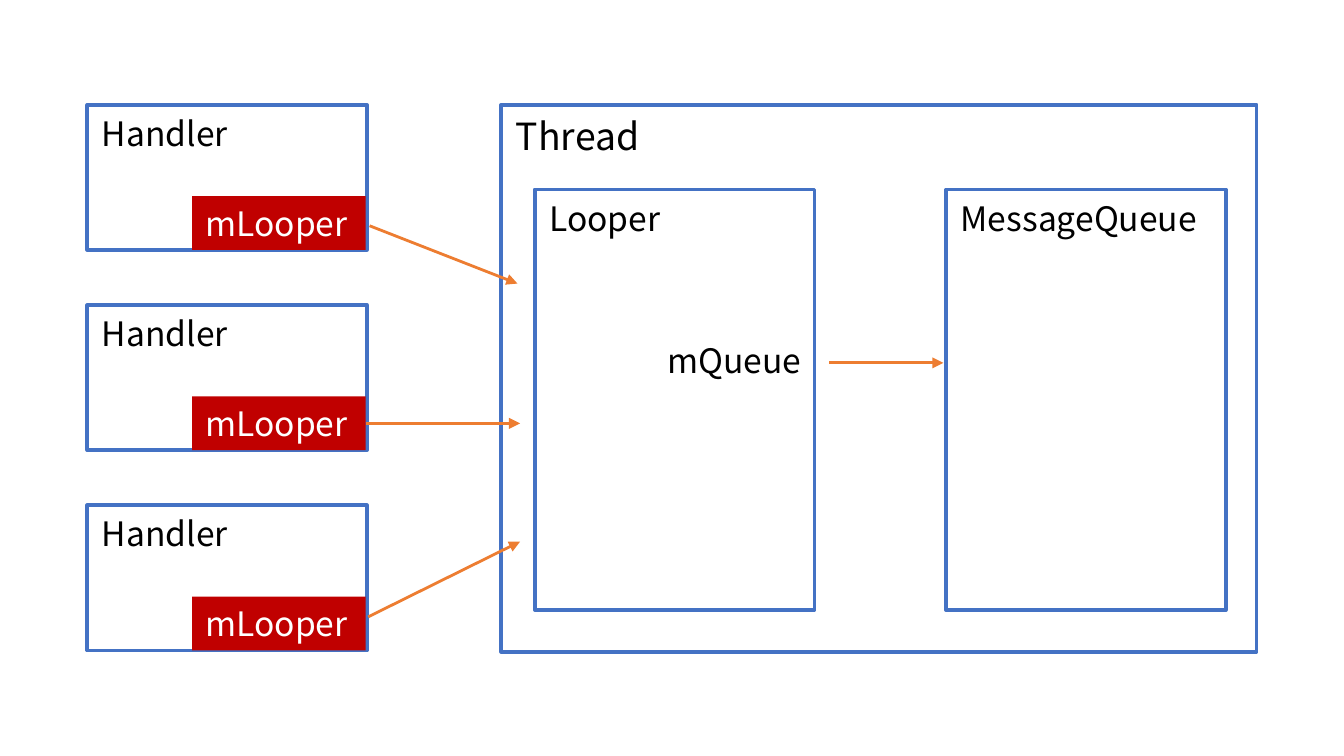
from typing import NamedTuple

from lxml.etree import SubElement
from pptx import Presentation
from pptx.dml.color import RGBColor
from pptx.enum.shapes import MSO_CONNECTOR as Line, MSO_SHAPE as Shape
from pptx.enum.text import MSO_ANCHOR as Anchor, MSO_AUTO_SIZE as Fit, PP_ALIGN as Align
from pptx.oxml.ns import qn
from pptx.util import Inches, Pt

BLUE = RGBColor(0x44, 0x72, 0xC4)
ORANGE = RGBColor(0xED, 0x7D, 0x31)
RED = RGBColor(0xC0, 0x00, 0x00)
BLACK = RGBColor(0x00, 0x00, 0x00)
WHITE = RGBColor(0xFF, 0xFF, 0xFF)
FONT = "Noto Sans CJK SC"


class Box(NamedTuple):
    x: float
    y: float
    w: float
    h: float


class Frame(NamedTuple):
    """An outlined box with its title in the top left corner."""
    title: str
    box: Box
    width: float
    height: float = 0.4
    size: int = 18


class Arrow(NamedTuple):
    x1: float
    y1: float
    x2: float
    y2: float


TOP, STEP = 0.78, 1.49
HANDLERS = [Frame("Handler", Box(0.65, TOP + i * STEP, 2.08, 1.08), 1.16)
            for i in range(3)]
PARTS = [
    Frame("Looper", Box(3.98, 1.41, 2.08, 3.13), 1.06),
    Frame("MessageQueue", Box(7.04, 1.41, 2.08, 3.13), 2.08),
    Frame("Thread", Box(3.73, TOP, 5.62, 4.07), 1.13, 0.44, 20),
]
# One arrow for each handler, from top to bottom
LINKS = [
    Arrow(2.75, 1.68, 3.85, 2.11),
    Arrow(2.72, 3.15, 3.87, 3.15),
    Arrow(2.74, 4.59, 3.87, 4.03),
]
QUEUE = Arrow(6.17, 2.7, 7.02, 2.7)


def inches(nums) -> list[Inches]:
    return [Inches(n) for n in nums]


def write(shape, text: str, *, size=18, color=BLACK, align=Align.LEFT):
    frame = shape.text_frame
    frame.word_wrap = False
    frame.auto_size = Fit.SHAPE_TO_FIT_TEXT
    frame.vertical_anchor = Anchor.TOP
    para = frame.paragraphs[0]
    para.alignment = align
    run = para.add_run()
    run.text = text
    run.font.name = FONT
    run.font.size = Pt(size)
    run.font.color.rgb = color


def label(slide, text: str, box: Box, **style):
    write(slide.shapes.add_textbox(*inches(box)), text, **style)


def rect(slide, box: Box, fill=None, line=None):
    shape = slide.shapes.add_shape(Shape.RECTANGLE, *inches(box))
    shape.shadow.inherit = False
    if fill is None:
        shape.fill.background()
    else:
        shape.fill.solid()
        shape.fill.fore_color.rgb = fill
    if line is None:
        shape.line.fill.background()
    else:
        shape.line.color.rgb = line
        shape.line.width = Pt(2)
    return shape


def draw_frame(slide, item: Frame):
    rect(slide, item.box, line=BLUE)
    spot = Box(item.box.x + 0.01, item.box.y + 0.01, item.width, item.height)
    label(slide, item.title, spot, size=item.size)


def draw_tag(slide, box: Box):
    """Draw the red field in the bottom right corner of a handler."""
    w, h = 1.29, 0.4
    spot = Box(box.x + box.w - w - 0.01, box.y + box.h - h, w, h)
    tag = rect(slide, spot, fill=RED)
    write(tag, "mLooper", color=WHITE)
    return tag


def draw_arrow(slide, arrow: Arrow):
    link = slide.shapes.add_connector(Line.STRAIGHT, *inches(arrow))
    link.line.color.rgb = ORANGE
    link.line.width = Pt(1.5)
    props = link._element.spPr
    SubElement(props.find(qn("a:ln")), qn("a:tailEnd"), type="triangle")
    SubElement(props, qn("a:effectLst"))
    return link


def main():
    deck = Presentation()
    deck.slide_width = Inches(10)
    deck.slide_height = deck.slide_width * 9 // 16
    slide = deck.slides.add_slide(deck.slide_layouts[6])

    for part in PARTS:
        draw_frame(slide, part)
    label(slide, "mQueue", Box(4.82, 2.48, 1.24, 0.4), align=Align.RIGHT)
    draw_arrow(slide, QUEUE)

    tags = []
    for item in HANDLERS:
        draw_frame(slide, item)
        tags.append(draw_tag(slide, item.box))
    links = [draw_arrow(slide, arrow) for arrow in LINKS]
    links[1].begin_connect(tags[1], 3)

    deck.save("out.pptx")


if __name__ == "__main__":
    main()
